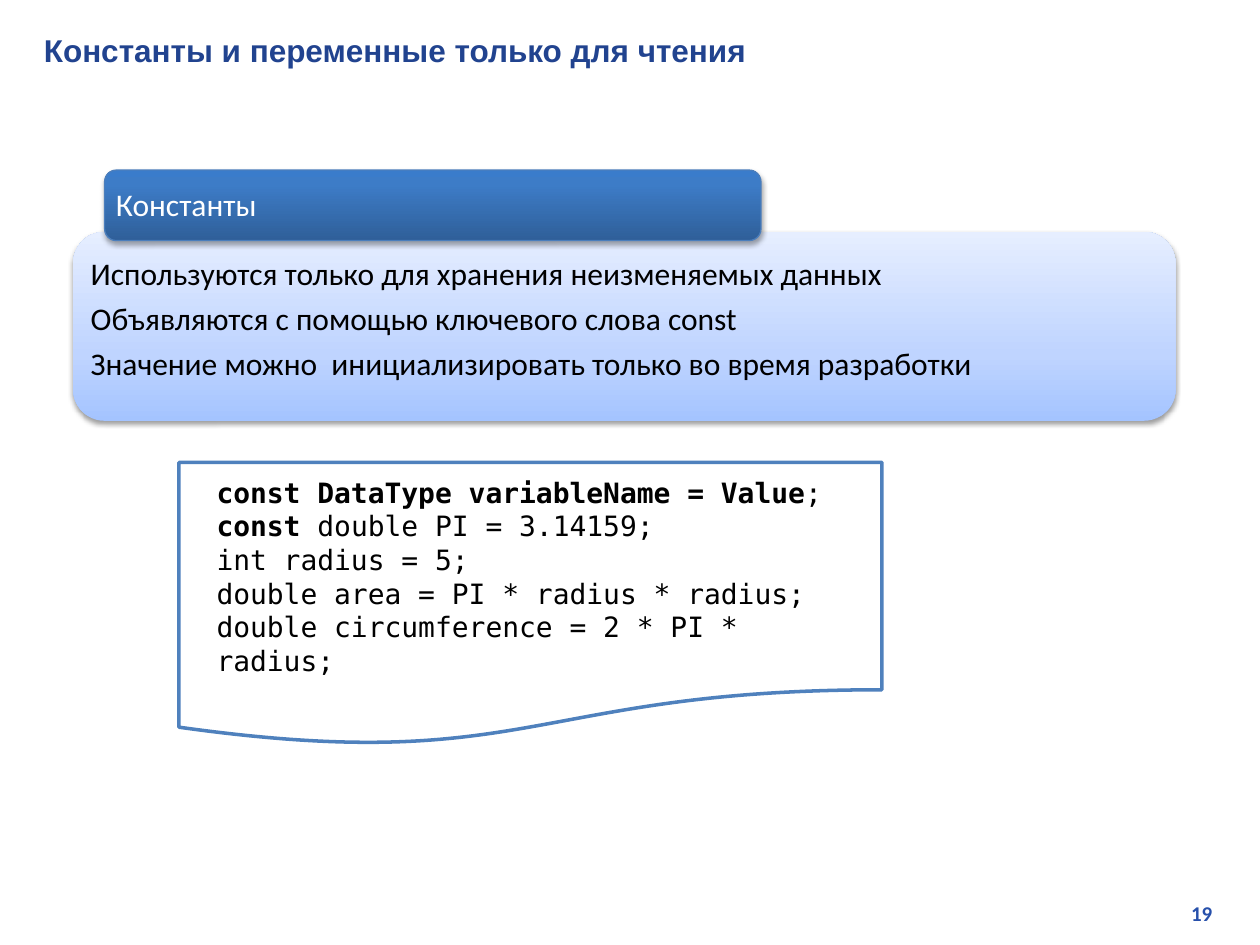
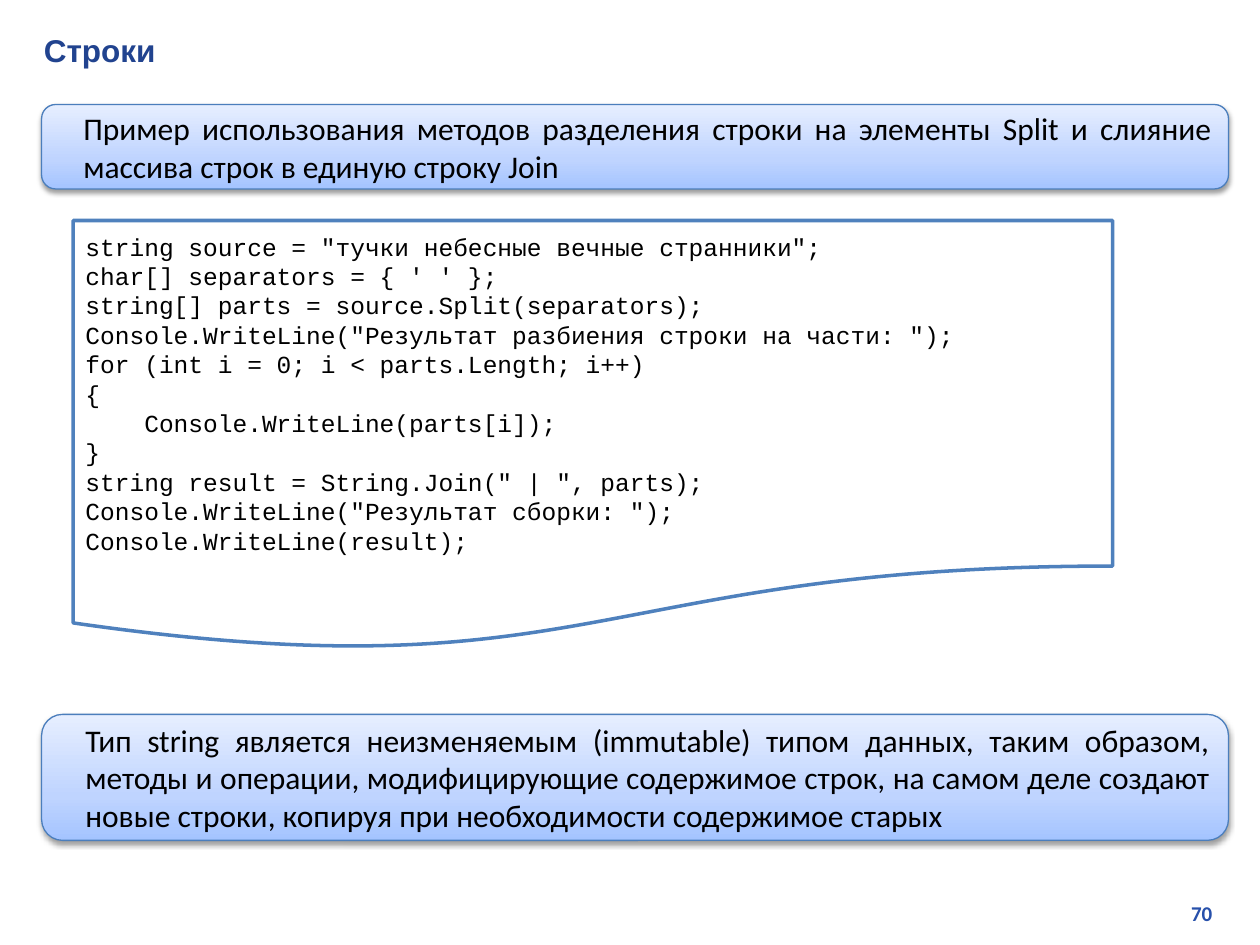
from dataclasses import dataclass

from lxml import etree
from pptx import Presentation
from pptx import util as u
from pptx.dml.color import RGBColor
from pptx.enum import shapes, text
from pptx.oxml import ns


@dataclass(frozen=True)
class Theme:
    title: str = "21438F"
    number: str = "2750AB"
    ink: str = "000000"
    white: str = "FFFFFF"
    code_line: str = "4F81BD"
    panel_line: str = "4B7EBC"
    # Gradient stops run from the bottom edge to the top: (percent, colour)
    pale: tuple = ((0, "A4C4FF"), (35, "BFD4FF"), (100, "E6EEFF"))
    strong: tuple = ((0, "2F5F99"), (80, "3D7CC7"), (100, "3A7CCB"))
    heading_font: str = "Arial"
    body_font: str = "Calibri"
    body_size: int = 18
    number_size: int = 12


theme = Theme()
LEFT, RIGHT, JUSTIFY = text.PP_ALIGN.LEFT, text.PP_ALIGN.RIGHT, text.PP_ALIGN.JUSTIFY


def write(shape, paragraphs, font, size, colour, align=LEFT, indent=0, inset=None, spaced=False):
    """Fill a shape with paragraphs, each a list of (words, bold) runs."""
    frame = shape.text_frame
    frame.word_wrap = True
    frame.vertical_anchor = text.MSO_ANCHOR.MIDDLE
    if inset is not None:
        frame.margin_left = frame.margin_right = u.Inches(inset)
        frame.margin_top = frame.margin_bottom = u.Inches(inset)
    for index, runs in enumerate(paragraphs):
        paragraph = frame.paragraphs[0] if index == 0 else frame.add_paragraph()
        paragraph.alignment = align
        if indent:
            paragraph._p.get_or_add_pPr().set("marL", str(u.Inches(indent)))
        if spaced:
            paragraph.line_spacing = 0.9
            paragraph.space_after = u.Pt(0.35 * size)
        for words, bold in runs:
            run = paragraph.add_run()
            run.text = words
            run.font.name, run.font.size, run.font.bold = font, u.Pt(size), bold
            run.font.color.rgb = RGBColor.from_string(colour)


def add_box(slide, place, preset, line=None, width=0.75, stops=None, shadow=None):
    """Add a white box, or a gradient one with a (opacity, distance) shadow."""
    shape = slide.shapes.add_shape(preset, *map(u.Inches, place))
    shape.shadow.inherit = False
    if line:
        shape.line.color.rgb = RGBColor.from_string(line)
        shape.line.width = u.Pt(width)
    else:
        shape.line.fill.background()
    if not stops:
        shape.fill.solid()
        shape.fill.fore_color.rgb = RGBColor.from_string(theme.white)
        return shape
    shape.fill.gradient()
    shape.fill.gradient_angle = 90
    properties = shape._element.spPr
    stop_list = properties.find(".//" + ns.qn("a:gsLst"))
    for stop in list(stop_list):
        stop_list.remove(stop)
    for percent, colour in stops:
        stop = etree.SubElement(stop_list, ns.qn("a:gs"), pos=str(percent * 1000))
        etree.SubElement(stop, ns.qn("a:srgbClr"), val=colour)
    opacity, distance = shadow
    outer = etree.SubElement(
        properties.find(ns.qn("a:effectLst")), ns.qn("a:outerShdw"),
        blurRad=str(u.Pt(3.1)), dist=str(u.Pt(distance)), dir="5400000", rotWithShape="0")
    black = etree.SubElement(outer, ns.qn("a:srgbClr"), val=theme.ink)
    etree.SubElement(black, ns.qn("a:alpha"), val=str(opacity * 1000))
    return shape


ROUNDED = shapes.MSO_SHAPE.ROUNDED_RECTANGLE
DOCUMENT = shapes.MSO_SHAPE.FLOWCHART_DOCUMENT
PALE_SHADOW, STRONG_SHADOW = (38, 1.6), (35, 1.8)

presentation = Presentation()
presentation.slide_width, presentation.slide_height = u.Inches(10), u.Inches(7.5)

# Title and slide number on every slide
slides = []
for title, number in (("Константы и переменные только для чтения", "19"), ("Строки", "70")):
    slide = presentation.slides.add_slide(presentation.slide_layouts[6])
    number_box = slide.shapes.add_textbox(*map(u.Inches, (7.6, 7.1, 2.12, 0.3)))
    write(number_box, [[(number, True)]], theme.body_font, theme.number_size, theme.number, RIGHT)
    title_box = slide.shapes.add_textbox(*map(u.Inches, (0.25, 0.2, 9.54, 0.4)))
    write(title_box, [[(title, True)]], theme.heading_font, theme.body_size, theme.title)
    slides.append(slide)
constants_slide, strings_slide = slides

# Constants: panel with its header tab, words in boxes of their own
constant_facts = [
    "Используются только для хранения неизменяемых данных",
    "Объявляются с помощью ключевого слова const",
    "Значение можно  инициализировать только во время разработки",
]
for place, text_place, stops, line, shadow, lines, colour in (
    ((0.58, 1.84, 8.75, 1.5), (0.65, 1.91, 8.62, 1.26),
     theme.pale, None, PALE_SHADOW, constant_facts, theme.ink),
    ((0.83, 1.35, 5.21, 0.56), (0.85, 1.38, 5.18, 0.51),
     theme.strong, theme.panel_line, STRONG_SHADOW, ["Константы"], theme.white),
):
    add_box(constants_slide, place, ROUNDED, line, stops=stops, shadow=shadow)
    words_box = constants_slide.shapes.add_textbox(*map(u.Inches, text_place))
    write(words_box, [[(words, False)] for words in lines], theme.body_font, theme.body_size,
          colour, JUSTIFY, inset=0.07, spaced=True)

# Code listings on both slides
constants_code = [
    [("const DataType variableName = Value", True), (";", False)],
    [("const", True), (" double PI = 3.14159;", False)],
    [("int radius = 5;", False)],
    [("double area = PI * radius * radius;", False)],
    [("double circumference = 2 * PI * radius;", False)],
]
strings_code = """string source = "тучки небесные вечные странники";
char[] separators = { ' ' };
string[] parts = source.Split(separators);
Console.WriteLine("Результат разбиения строки на части: ");
for (int i = 0; i < parts.Length; i++)
{
    Console.WriteLine(parts[i]);
}
string result = String.Join(" | ", parts);
Console.WriteLine("Результат сборки: ");
Console.WriteLine(result);"""
for slide, place, code, font, size, indent in (
    (constants_slide, (1.42, 3.67, 5.58, 2.25), constants_code, "DejaVu Sans Mono", 16, 0.2),
    (strings_slide, (0.58, 1.75, 8.25, 3.42),
     [[(line, False)] for line in strings_code.splitlines()], "Courier New", 14, 0),
):
    listing = add_box(slide, place, DOCUMENT, theme.code_line, 2)
    write(listing, code, font, size, theme.ink, indent=indent)

# Strings: remarks above and below the listing
for top, height, remark in (
    (0.83, 0.67, "Пример использования методов разделения строки на элементы Split "
                 "и слияние массива строк в единую строку Join"),
    (5.67, 1, "Тип string является неизменяемым (immutable) типом данных, таким образом, "
              "методы и операции, модифицирующие содержимое строк, на самом деле создают "
              "новые строки, копируя при необходимости содержимое старых"),
):
    panel = add_box(strings_slide, (0.33, top, 9.42, height), ROUNDED, theme.panel_line,
                    stops=theme.pale, shadow=PALE_SHADOW)
    write(panel, [[(remark, False)]], theme.body_font, theme.body_size, theme.ink, JUSTIFY, 0.2)

presentation.save("out.pptx")
